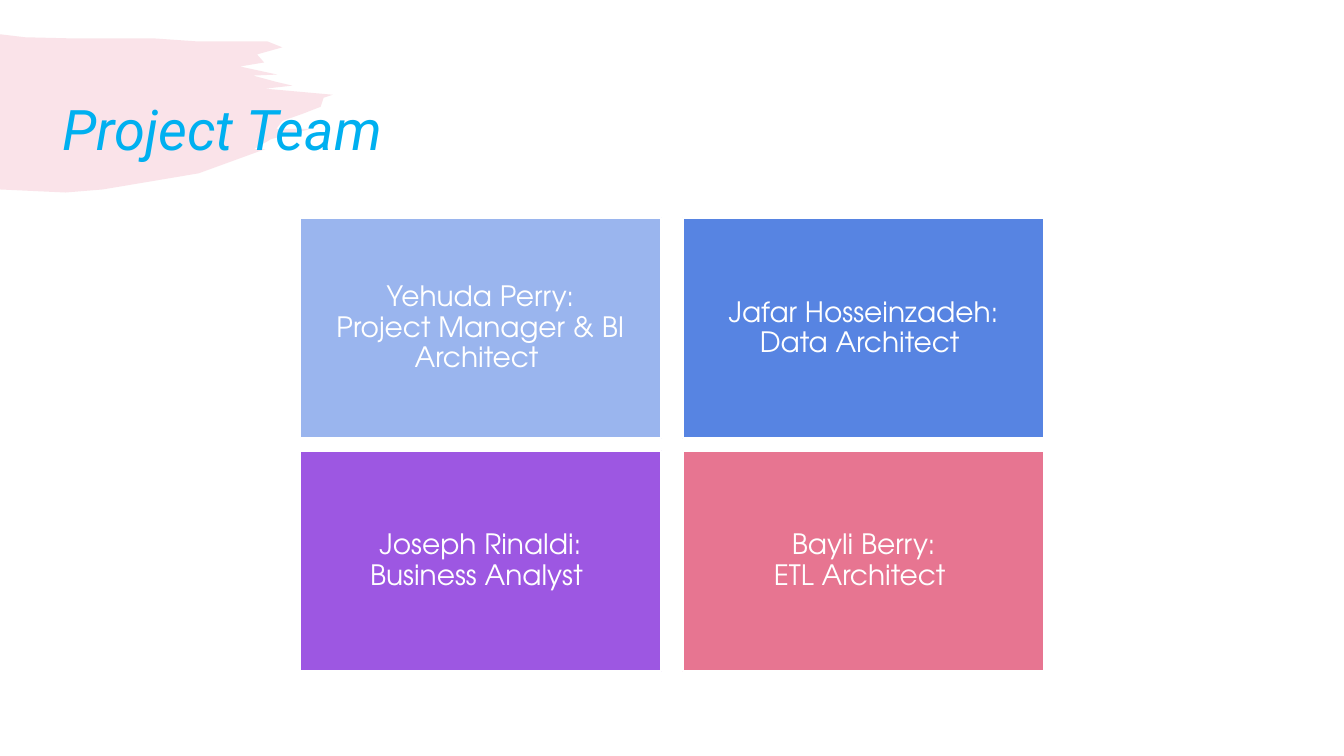
from dataclasses import dataclass
from itertools import product

from lxml.etree import SubElement
from pptx import Presentation
from pptx.dml.color import RGBColor
from pptx.enum.shapes import MSO_SHAPE
from pptx.enum.text import MSO_ANCHOR, MSO_AUTO_SIZE, PP_ALIGN
from pptx.oxml.ns import qn
from pptx.util import Emu, Pt

EMU_PER_PX = 9144


@dataclass(frozen=True)
class Theme:
    """Colours, fonts and type sizes of the slide."""

    title_font: str = "Roboto"
    card_font: str = "TeX Gyre Adventor"
    title_size: int = 40
    card_size: int = 20
    title_color: str = "00B0F0"
    white: str = "FFFFFF"
    brush: str = "E77591"
    brush_opacity: int = 20
    cards: tuple = ("9AB5EE", "5784E2", "9D57E2", "E77591")


THEME = Theme()

TEAM = [
    ("Yehuda Perry", "Project Manager & BI Architect "),
    ("Jafar Hosseinzadeh", "Data Architect "),
    ("Joseph Rinaldi", "Business Analyst "),
    ("Bayli Berry", "ETL Architect "),
]

BRUSH_OUTLINE = [
    (0, 34), (25, 37), (66, 38), (151, 38), (194, 41), (265, 41), (280, 47),
    (255, 54), (262, 62), (238, 66), (275, 74), (251, 75), (273, 81), (290, 85),
    (263, 88), (330, 94), (321, 97), (318, 106), (300, 113), (280, 120),
    (274, 128), (308, 128), (269, 138), (252, 148), (263, 148), (197, 172),
    (102, 188), (65, 191), (0, 188),
]


def px(length):
    """Turn px into EMU."""
    return Emu(length * EMU_PER_PX)


def format_text(frame, font, size, color, align, italic=False):
    """Apply one text style to every run of a frame."""
    frame.word_wrap = True
    frame.auto_size = MSO_AUTO_SIZE.NONE
    frame.vertical_anchor = MSO_ANCHOR.MIDDLE
    for para in frame.paragraphs:
        para.alignment = align
        para.line_spacing = 0.9
        for span in para.runs:
            span.font.name = font
            span.font.size = Pt(size)
            span.font.italic = italic
            span.font.color.rgb = RGBColor.from_string(color)


def add_title(page, text):
    """Fill and place the title placeholder."""
    title = page.shapes.title
    title.left, title.top, title.width, title.height = px(52), px(59), px(1150), px(145)
    title.text_frame.text = text
    format_text(title.text_frame, THEME.title_font, THEME.title_size,
                THEME.title_color, PP_ALIGN.LEFT, italic=True)


def add_brush(page):
    """Draw the translucent brush stroke behind the title."""
    start, *points = BRUSH_OUTLINE
    builder = page.shapes.build_freeform(*start, scale=EMU_PER_PX)
    builder.add_line_segments(points, close=True)
    brush = builder.convert_to_shape()
    brush.shadow.inherit = False
    brush.line.fill.background()
    brush.fill.solid()
    brush.fill.fore_color.rgb = RGBColor.from_string(THEME.brush)
    color = brush.element.spPr.find(qn("a:solidFill")).find(qn("a:srgbClr"))
    SubElement(color, qn("a:alpha")).set("val", str(THEME.brush_opacity * 1000))
    page.shapes.title.element.addprevious(brush.element)


def add_card(page, left, top, fill, name, role):
    """Add one team member's card."""
    card = page.shapes.add_shape(MSO_SHAPE.RECTANGLE, px(left), px(top), px(359), px(219))
    card.shadow.inherit = False
    card.fill.solid()
    card.fill.fore_color.rgb = RGBColor.from_string(fill)
    card.line.color.rgb = RGBColor.from_string(THEME.white)
    card.line.width = Pt(1.5)
    frame = card.text_frame
    frame.margin_left = frame.margin_right = px(18)
    frame.margin_top = frame.margin_bottom = px(19)
    frame.text = f"{name}:\v{role}"
    format_text(frame, THEME.card_font, THEME.card_size, THEME.white, PP_ALIGN.CENTER)


def main():
    """Build the team slide and save it."""
    deck = Presentation()
    deck.slide_width, deck.slide_height = px(1333), px(750)
    page = deck.slides.add_slide(deck.slide_layouts[5])
    add_title(page, "Project Team")
    add_brush(page)
    places = product(range(2), repeat=2)
    for (row, column), fill, (name, role) in zip(places, THEME.cards, TEAM):
        add_card(page, 297 + column * 380, 216 + row * 231, fill, name, role)
    deck.save("out.pptx")


if __name__ == "__main__":
    main()
